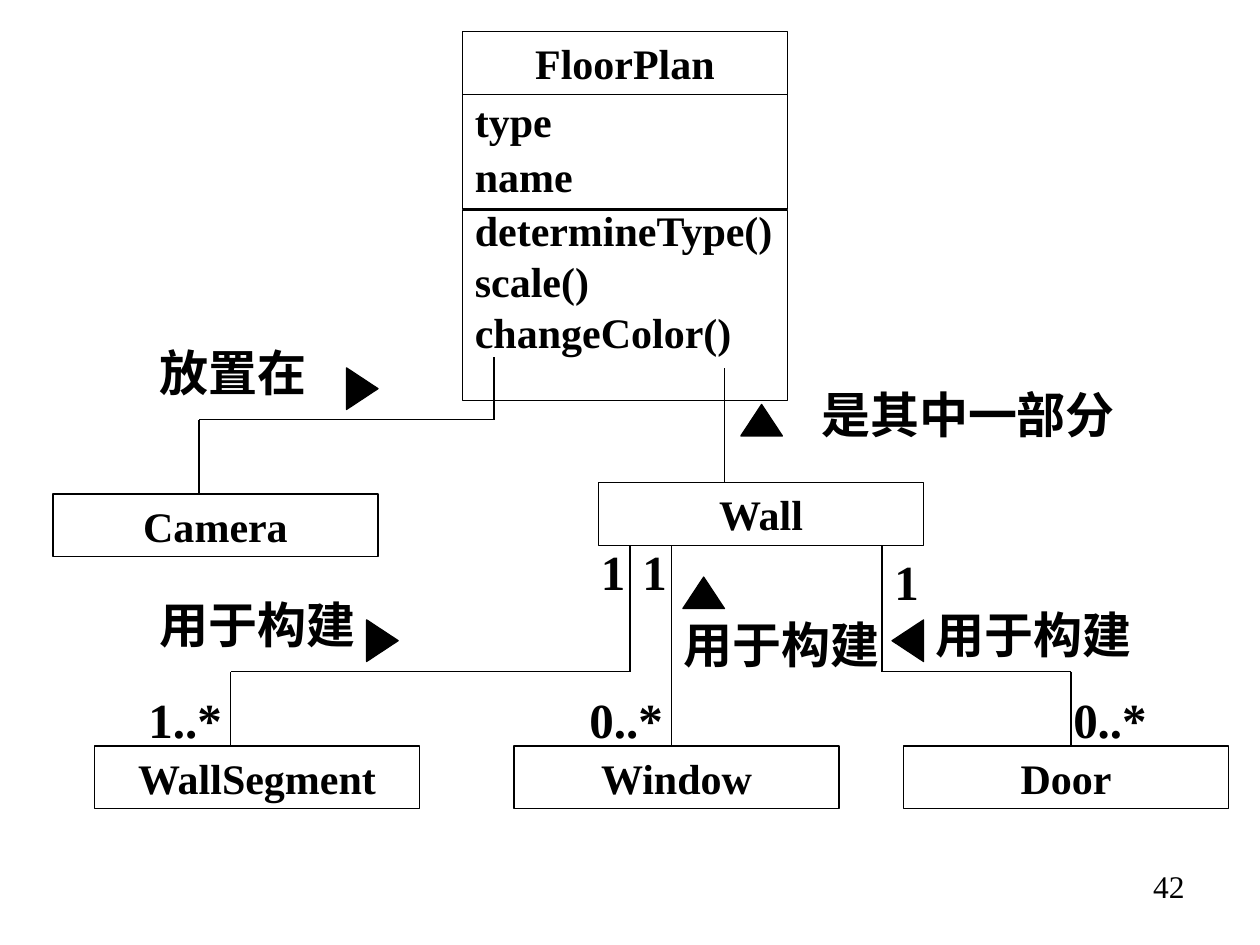
from itertools import pairwise

from lxml import etree
from pptx import Presentation
from pptx.dml.color import RGBColor
from pptx.enum.shapes import MSO_CONNECTOR as Connector, MSO_SHAPE as Shape
from pptx.enum.text import MSO_ANCHOR as Anchor, PP_ALIGN as Align
from pptx.oxml.ns import qn
from pptx.util import Inches, Pt

COLORS = {"ink": "000000"}
INK = RGBColor.from_string(COLORS["ink"])
FONT = "Times New Roman"
CLASS_WIDTH = 2.58
NAME_HEIGHT = 0.5


def write(frame, lines, size, bold=True, align=Align.LEFT, spacing=None, gap=0):
    frame.word_wrap = True
    frame.vertical_anchor = Anchor.TOP
    for index, line in enumerate(lines):
        paragraph = frame.paragraphs[0] if index == 0 else frame.add_paragraph()
        paragraph.text = line
        paragraph.alignment = align
        if spacing:
            paragraph.line_spacing = spacing
        if index:
            paragraph.space_before = Pt(gap)
        paragraph.font.name = FONT
        paragraph.font.size = Pt(size)
        paragraph.font.bold = bold
        paragraph.font.color.rgb = INK


def add_outline(kind, left, top, width, height):
    outline = slide.shapes.add_shape(
        kind, Inches(left), Inches(top), Inches(width), Inches(height))
    outline.shadow.inherit = False
    outline.fill.background()
    outline.line.color.rgb = INK
    outline.line.width = Pt(0.75)
    return outline


prs = Presentation()
prs.slide_width = Inches(10)
prs.slide_height = Inches(7.5)
slide = prs.slides.add_slide(prs.slide_layouts[6])

classes = [
    ("FloorPlan", 3.67, 0.25),
    ("Camera", 0.42, 3.92),
    ("Wall", 4.75, 3.83),
    ("WallSegment", 0.75, 5.92),
    ("Window", 4.08, 5.92),
    ("Door", 7.17, 5.92),
]
for name, left, top in classes:
    header = add_outline(Shape.RECTANGLE, left, top, CLASS_WIDTH, NAME_HEIGHT)
    write(header.text_frame, [name], 24, align=Align.CENTER)

compartments = [
    (["type", "name"], 0.75, 0.91, 0.9, 6),
    (["determineType()", "scale()", "changeColor()"], 1.67, 1.51, 0.75, 7.5),
]
for members, top, height, spacing, gap in compartments:
    compartment = add_outline(Shape.RECTANGLE, 3.67, top, CLASS_WIDTH, height)
    write(compartment.text_frame, members, 24, spacing=spacing, gap=gap)

associations = [
    [(1.58, 3.92), (1.58, 3.33), (3.92, 3.33), (3.92, 2.83)],
    [(5.75, 3.83), (5.75, 2.92)],
    [(1.83, 5.92), (1.83, 5.33), (5, 5.33), (5, 4.33)],
    [(5.33, 5.92), (5.33, 4.33)],
    [(7, 4.33), (7, 5.33), (8.5, 5.33), (8.5, 5.92)],
]
for route in associations:
    for (x1, y1), (x2, y2) in pairwise(route):
        segment = slide.shapes.add_connector(
            Connector.STRAIGHT, Inches(x1), Inches(y1), Inches(x2), Inches(y2))
        segment.line.color.rgb = INK
        segment.line.width = Pt(0.75)
        etree.SubElement(segment._element.spPr, qn("a:effectLst"))

directions = [
    (2.71, 2.96, 90),
    (5.88, 3.21, 0),
    (2.87, 4.96, 90),
    (5.42, 4.58, 0),
    (7.04, 4.96, 270),
]
for left, top, rotation in directions:
    direction = add_outline(Shape.ISOSCELES_TRIANGLE, left, top, 0.33, 0.25)
    direction.fill.solid()
    direction.fill.fore_color.rgb = INK
    direction.rotation = rotation

labels = [
    ("放置在", 1.17, 2.67, 1.58),
    ("是其中一部分", 6.42, 3, 2.83),
    ("用于构建", 1.17, 4.67, 2),
    ("用于构建", 5.33, 4.83, 2),
    ("用于构建", 7.33, 4.75, 2),
    ("1..*", 1.08, 5.42, 0.83),
    ("1", 4.67, 4.25, 0.5),
    ("1", 5, 4.25, 0.5),
    ("0..*", 4.58, 5.42, 0.83),
    ("0..*", 8.42, 5.42, 0.83),
    ("1", 7, 4.33, 0.5),
]
for wording, left, top, width in labels:
    label = slide.shapes.add_textbox(
        Inches(left), Inches(top), Inches(width), Inches(0.57))
    write(label.text_frame, [wording], 28)

page_number = slide.shapes.add_textbox(
    Inches(7.17), Inches(6.83), Inches(2.33), Inches(0.52))
write(page_number.text_frame, ["42"], 18, bold=False, align=Align.RIGHT)

prs.save("out.pptx")
